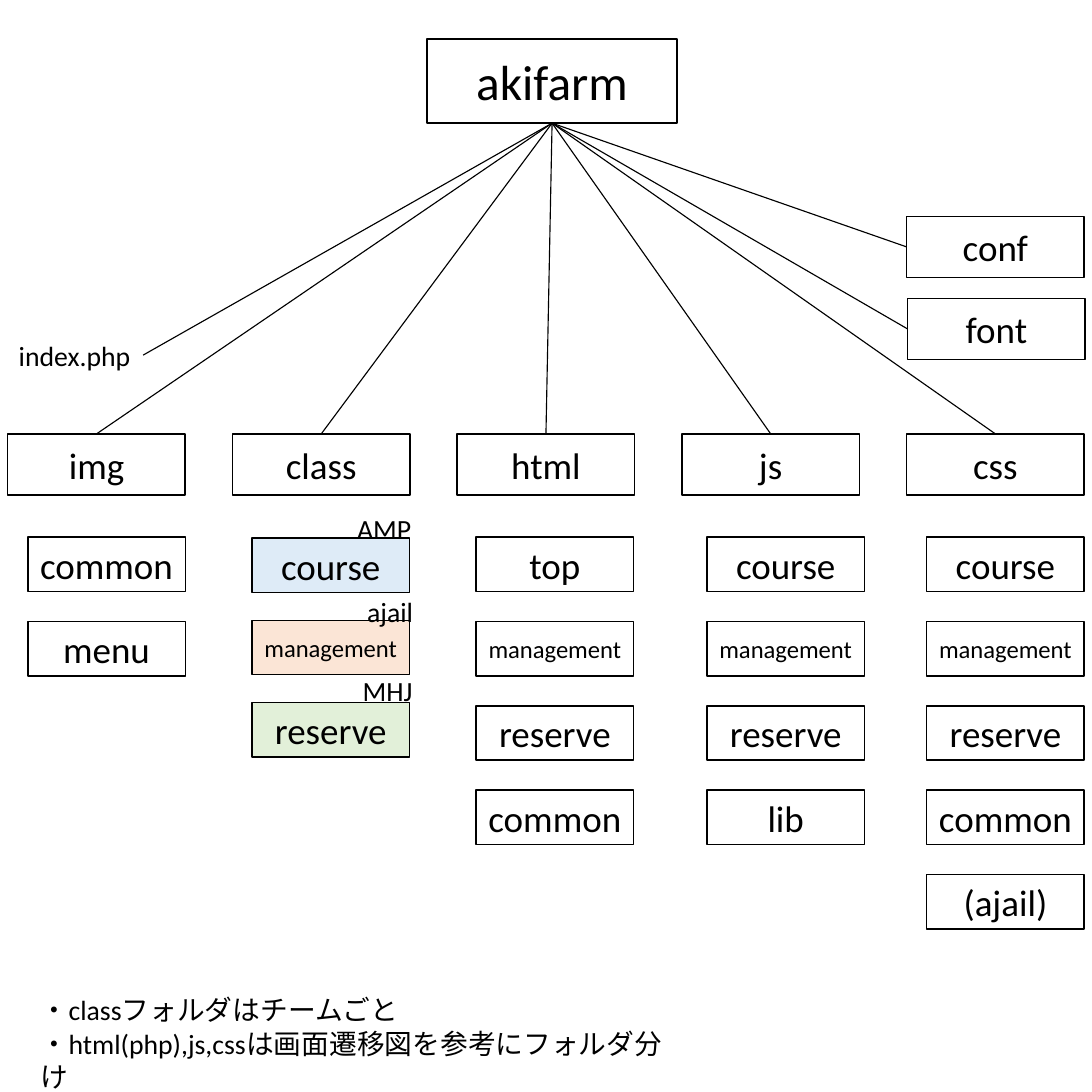
import pptx
import pptx.util
import pptx.dml.color
import pptx.enum.shapes
import pptx.enum.text
from lxml import etree

Inches = pptx.util.Inches
Pt = pptx.util.Pt
RGBColor = pptx.dml.color.RGBColor
PP_ALIGN = pptx.enum.text.PP_ALIGN
MSO_ANCHOR = pptx.enum.text.MSO_ANCHOR

BLACK = RGBColor(0x00, 0x00, 0x00)
BLUE = RGBColor(0xDE, 0xEB, 0xF7)
ORANGE = RGBColor(0xFB, 0xE5, 0xD6)
GREEN = RGBColor(0xE2, 0xF0, 0xD9)
TOP, LEFT, BOTTOM, RIGHT = range(4)

deck = pptx.Presentation()
deck.slide_width = deck.slide_height = Inches(9.84)
slide = deck.slides.add_slide(deck.slide_layouts[6])


def add_text(text, left, top, width, height, size=18, boxed=False, fill=None, wrap=False):
    area = [Inches(value) for value in (left, top, width, height)]
    if boxed:
        item = slide.shapes.add_shape(pptx.enum.shapes.MSO_SHAPE.RECTANGLE, *area)
        item.shadow.inherit = False
        item.line.color.rgb = BLACK
        item.line.width = Pt(1)
        if fill is None:
            item.fill.background()
        else:
            item.fill.solid()
            item.fill.fore_color.rgb = fill
    else:
        item = slide.shapes.add_textbox(*area)
    frame = item.text_frame
    frame.word_wrap = wrap or boxed
    frame.vertical_anchor = MSO_ANCHOR.MIDDLE if boxed else MSO_ANCHOR.TOP
    frame.text = text
    for paragraph in frame.paragraphs:
        paragraph.alignment = PP_ALIGN.CENTER if boxed else PP_ALIGN.LEFT
        paragraph.font.size = Pt(size)
        paragraph.font.name = "Calibri"
        paragraph.font.color.rgb = BLACK
    return item


def connect(parent, child, side):
    branch = slide.shapes.add_connector(pptx.enum.shapes.MSO_CONNECTOR.STRAIGHT, 0, 0, 0, 0)
    branch.begin_connect(parent, BOTTOM)
    branch.end_connect(child, side)
    branch.line.color.rgb = BLACK
    branch.line.width = Pt(0.75)
    etree.SubElement(branch._element.spPr, pptx.oxml.ns.qn("a:effectLst"))


root = add_text("akifarm", 3.85, 0.35, 2.25, 0.76, size=32, boxed=True)

folders = [
    ("img", 0.25, 4.84, 0.76, ["common", "menu"], []),
    ("class", 2.27, 4.85, 0.74, ["course", "management", "reserve"], [BLUE, ORANGE, GREEN]),
    ("html", 4.29, 4.84, 0.76, ["top", "management", "reserve", "common"], []),
    ("js", 6.37, 4.84, 0.76, ["course", "management", "reserve", "lib"], []),
    ("css", 8.35, 4.84, 0.76, ["course", "management", "reserve", "common", "(ajail)"], []),
]
for column, (name, left, top, step, subfolders, fills) in enumerate(folders):
    folder = add_text(name, 0.07 + 2.025 * column, 3.91, 1.6, 0.55, size=24, boxed=True)
    connect(root, folder, TOP)
    for row, subfolder in enumerate(subfolders):
        add_text(subfolder, left, top + step * row, 1.42, 0.49,
                 size=16 if subfolder == "management" else 24,
                 boxed=True, fill=fills[row] if fills else None)

for name, left, top in [("conf", 8.17, 1.95), ("font", 8.18, 2.69)]:
    side_folder = add_text(name, left, top, 1.6, 0.55, size=24, boxed=True)
    connect(root, side_folder, LEFT)

index_file = add_text("index.php", 0.07, 3, 1.22, 0.4)
connect(root, index_file, RIGHT)

for team, left, top, width in [("AMP", 3.12, 4.56, 0.69), ("ajail", 3.21, 5.31, 0.62),
                               ("MHJ", 3.17, 6.02, 0.66)]:
    add_text(team, left, top, width, 0.4)

add_text("・classフォルダはチームごと\n・html(php),js,cssは画面遷移図を参考にフォルダ分け",
         0.27, 8.9, 5.8, 0.71, wrap=True)

deck.save("out.pptx")
